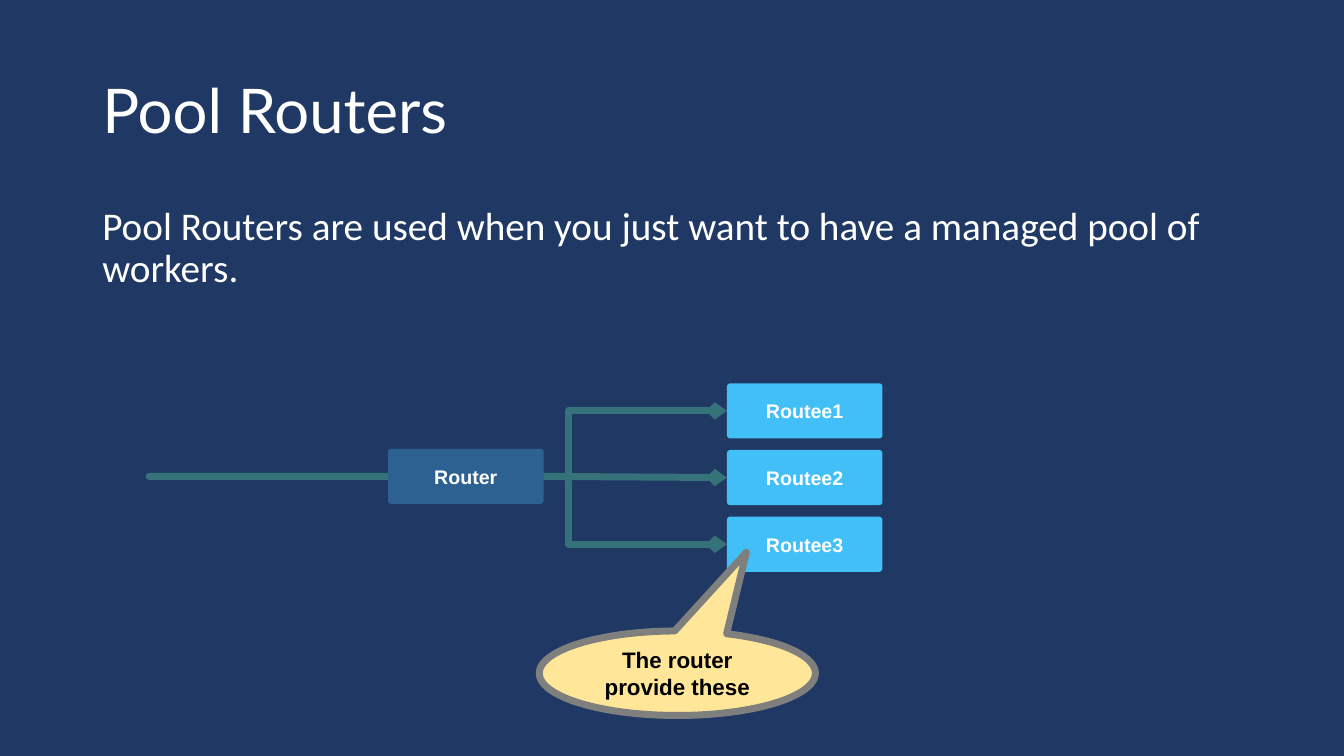
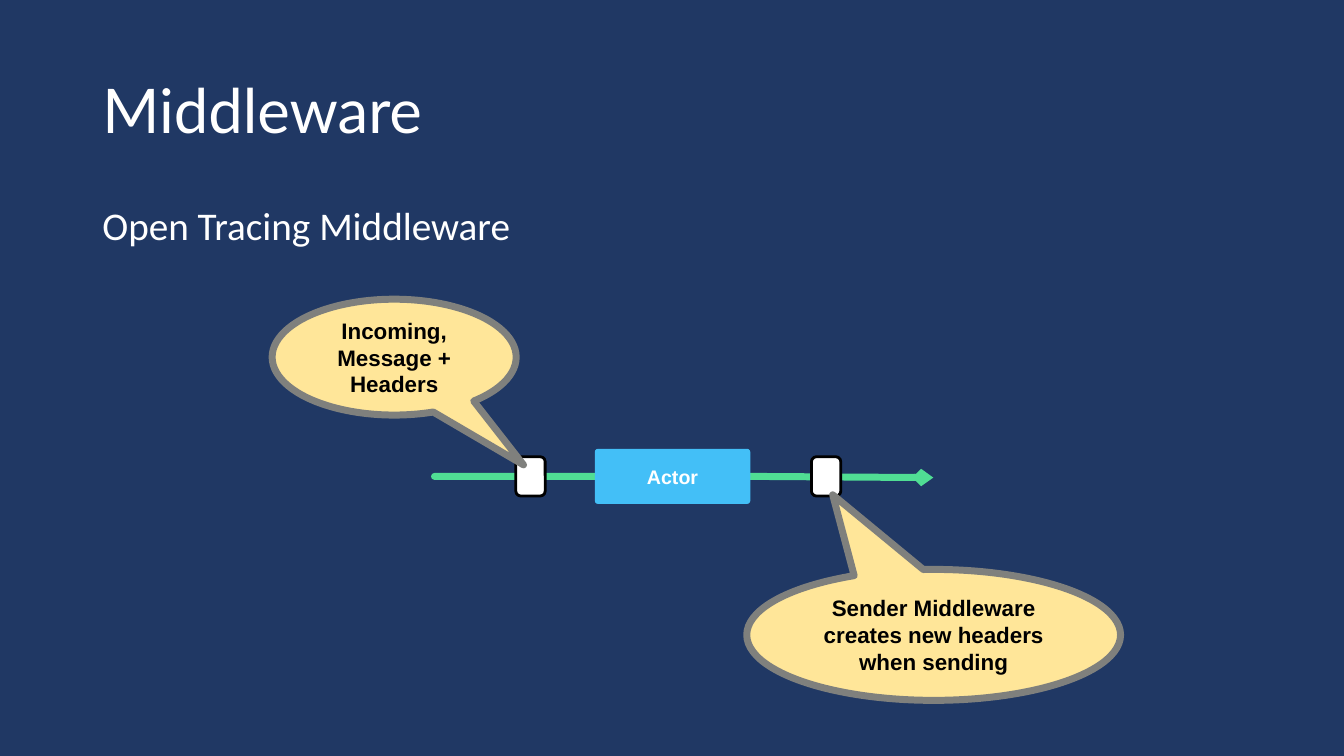
from dataclasses import dataclass

from lxml.etree import SubElement
from pptx import Presentation
from pptx.dml.color import RGBColor
from pptx.enum.shapes import MSO_CONNECTOR as Link, MSO_SHAPE as Shape
from pptx.enum.text import MSO_ANCHOR as Anchor, PP_ALIGN as Align
from pptx.oxml.ns import qn
from pptx.util import Cm, Pt

COLORS = {
    "background": "203864",
    "light": "FFFFFF",
    "dark": "000000",
    "router": "2C6191",
    "actor": "43BFF7",
    "route": "36727A",
    "message": "50DE94",
    "callout": "FFE699",
    "callout_edge": "7F807D",
}
LEFT, RIGHT = 1, 3
BLOCK_WIDTH, BLOCK_HEIGHT = 3.92, 1.39


@dataclass
class Box:
    """A rectangle in centimetres."""

    left: float
    top: float
    width: float
    height: float

    def lengths(self):
        """Return the four sides as lengths."""
        return [Cm(side) for side in (self.left, self.top, self.width, self.height)]

    def inner(self, left, top, width, height):
        """Return a box placed relative to this one."""
        return Box(self.left + left, self.top + top, width, height)


TITLE_BOX = Box(2.33, 1.01, 29.21, 3.68)
BODY_BOX = Box(2.33, 5.08, 29.21, 12.09)


def color(name):
    """Look up a colour of the deck."""
    return RGBColor.from_string(COLORS[name])


def write(frame, text, font, size, tone, bold=False):
    """Fill a text frame with one styled run and return its paragraph."""
    frame.word_wrap = True
    para = frame.paragraphs[0]
    span = para.add_run()
    span.text = text
    span.font.name = font
    span.font.size = Pt(size)
    span.font.bold = bold
    span.font.color.rgb = color(tone)
    return para


def add_text(page, box, text, font, size, anchor):
    """Place a heading or body text in its box."""
    frame = page.shapes.add_textbox(*box.lengths()).text_frame
    frame.vertical_anchor = anchor
    write(frame, text, font, size, "light").line_spacing = 0.9


def add_figure(page, kind, box, fill, edge=None, weight=0, adjust=()):
    """Draw a flat preset shape with an optional outline."""
    figure = page.shapes.add_shape(kind, *box.lengths())
    figure.shadow.inherit = False
    figure.fill.solid()
    figure.fill.fore_color.rgb = color(fill)
    if edge:
        figure.line.color.rgb = color(edge)
        figure.line.width = Pt(weight)
    else:
        figure.line.fill.background()
    for index, value in enumerate(adjust):
        figure.adjustments[index] = value
    return figure


def label(figure, text, size, tone):
    """Centre a bold label in a shape."""
    figure.text_frame.vertical_anchor = Anchor.MIDDLE
    write(figure.text_frame, text, "Arial", size, tone, True).alignment = Align.CENTER


def add_block(page, region, left, top, text, fill):
    """Draw a labelled actor block inside a region."""
    box = region.inner(left, top, BLOCK_WIDTH, BLOCK_HEIGHT)
    block = add_figure(page, Shape.ROUNDED_RECTANGLE, box, fill, adjust=[0.06])
    label(block, text, 14, "light")
    return block


def add_callout(page, box, text, tip):
    """Draw an oval callout whose pointer ends at tip."""
    callout = add_figure(page, Shape.OVAL_CALLOUT, box, "callout", "callout_edge", 5, tip)
    label(callout, text, 16, "dark")


def add_link(page, tone, start=None, end=None, origin=None, target=None, bend=None, arrow=False):
    """Draw a line between points or block sides, behind the blocks."""
    kind = Link.STRAIGHT if bend is None else Link.ELBOW
    points = [Cm(value) for value in (*(start or (0, 0)), *(end or (0, 0)))]
    link = page.shapes.add_connector(kind, *points)
    if origin:
        link.begin_connect(origin, RIGHT)
    if target:
        link.end_connect(target, LEFT)
    link.line.color.rgb = color(tone)
    link.line.width = Pt(5)
    properties = link.element.spPr
    outline = properties.find(qn("a:ln"))
    outline.set("cap", "rnd")
    SubElement(outline, qn("a:round"))
    if arrow:
        SubElement(outline, qn("a:tailEnd"), type="arrow", w="sm", len="sm")
    SubElement(properties, qn("a:effectLst"))
    if bend is not None:
        geometry = properties.find(qn("a:prstGeom"))
        guides = geometry.find(qn("a:avLst"))
        if guides is None:
            guides = SubElement(geometry, qn("a:avLst"))
        SubElement(guides, qn("a:gd"), name="adj1", fmla=f"val {round(bend * 100000)}")
    (origin or target).element.addprevious(link.element)


def add_page(deck, title, body):
    """Add a slide with the shared background, title and body."""
    page = deck.slides.add_slide(deck.slide_layouts[6])
    page.background.fill.solid()
    page.background.fill.fore_color.rgb = color("background")
    add_text(page, TITLE_BOX, title, "Lato", 44, Anchor.MIDDLE)
    add_text(page, BODY_BOX, body, "Calibri", 28, Anchor.TOP)
    return page


def draw_pool(page, region):
    """Draw a router that feeds a column of routees."""
    step = (region.height - BLOCK_HEIGHT) / 2
    router = add_block(page, region, 6.02, step - 0.03, "Router", "router")
    routees = [
        add_block(page, region, region.width - BLOCK_WIDTH, row * step, f"Routee{row + 1}", "actor")
        for row in range(3)
    ]
    for routee, bend in zip(routees, (0.135, None, 0.135)):
        add_link(page, "route", origin=router, target=routee, bend=bend, arrow=True)
    middle = region.top + step - 0.03 + BLOCK_HEIGHT / 2
    add_link(page, "route", start=(region.left, middle), target=router)
    add_callout(page, region.inner(9.83, 6.24, 6.96, 2.13), "The router provide these", (0.25, -1.43))


def draw_pipeline(page, region):
    """Draw an actor with middleware on both sides and their callouts."""
    actor = add_block(page, region, 4.04, 0, "Actor", "actor")
    middle = region.top + region.height / 2
    add_link(page, "message", start=(region.left, middle), target=actor)
    add_link(page, "message", end=(region.left + region.width, middle + 0.03), origin=actor, arrow=True)
    for left in (2.05, 9.5):
        chip = region.inner(left, 0.2, 0.74, 0.99)
        add_figure(page, Shape.ROUNDED_RECTANGLE, chip, "light", "dark", 2)
    add_callout(page, region.inner(-4.09, -3.77, 6.15, 2.92), "Incoming, Message + Headers", (0.53, 0.93))
    sender = "Sender Middleware creates new headers when sending"
    add_callout(page, region.inner(7.87, 3.04, 9.42, 3.3), sender, (-0.27, -1.07))


def main():
    """Build and save the deck."""
    deck = Presentation()
    deck.slide_width, deck.slide_height = Cm(33.87), Cm(19.05)
    pool = "Pool Routers are used when you just want to have a managed pool of workers."
    draw_pool(add_page(deck, "Pool Routers", pool), Box(3.76, 9.66, 18.48, 4.75))
    pipeline = add_page(deck, "Middleware", "Open Tracing Middleware")
    draw_pipeline(pipeline, Box(10.95, 11.31, 12.57, BLOCK_HEIGHT))
    deck.save("out.pptx")


if __name__ == "__main__":
    main()
